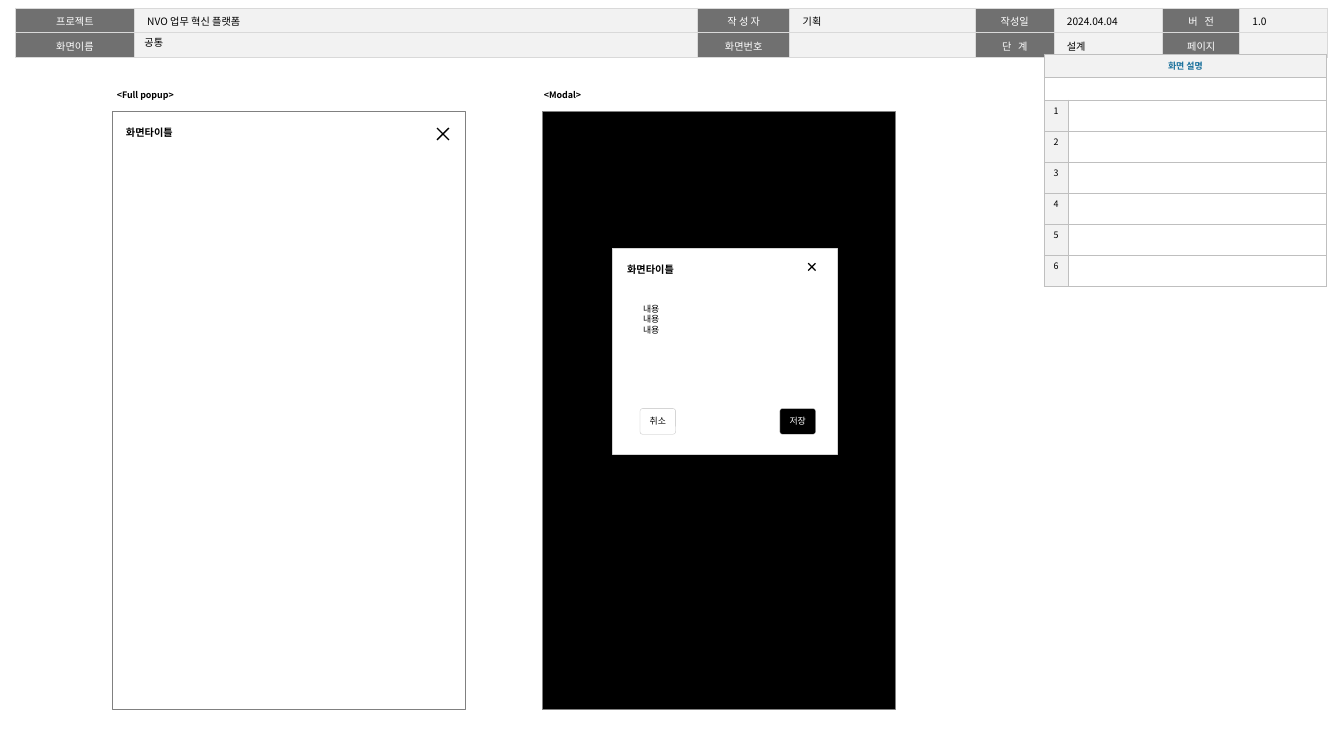
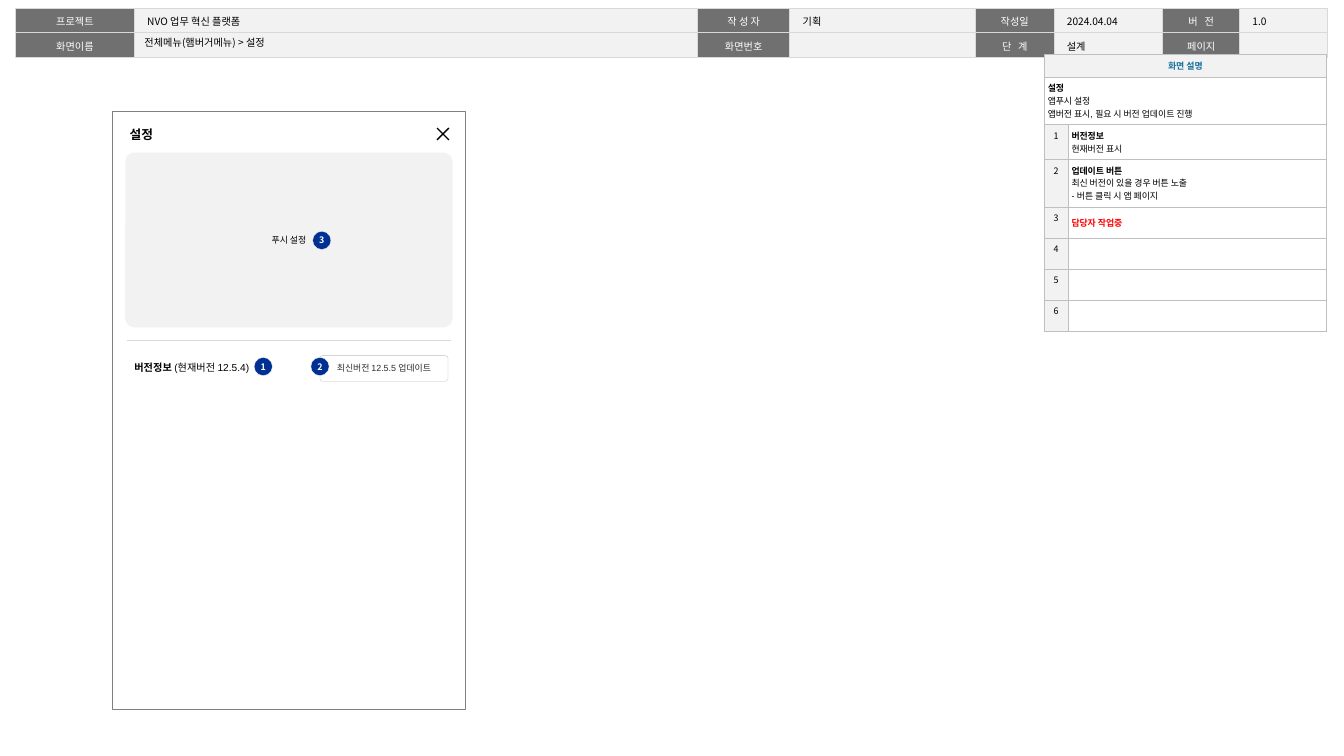
import lxml.etree
import pptx
import pptx.dml.color
import pptx.enum.shapes
import pptx.enum.text
import pptx.oxml.ns
import pptx.util

Inches = pptx.util.Inches
Pt = pptx.util.Pt
qn = pptx.oxml.ns.qn
SHAPES = pptx.enum.shapes.MSO_SHAPE
ALIGN = pptx.enum.text.PP_ALIGN
ANCHOR = pptx.enum.text.MSO_ANCHOR
AUTO_SIZE = pptx.enum.text.MSO_AUTO_SIZE

KOREAN, LATIN = "Noto Sans CJK KR", "Arial"
BLACK, WHITE, PALE, LABEL = "000000", "FFFFFF", "F2F2F2", "707070"
FRAME, RULE, EDGE, BADGE = "808080", "D9D9D9", "BFBFBF", "003192"
BOLD = {"bold": True}
FRAME_TOP, FRAME_WIDTH, FRAME_HEIGHT = 1.22, 3.86, 6.54

HEADER_WIDTHS = [1.3, 6.16, 1.01, 2.03, 0.86, 1.19, 0.84, 0.96]
HEADER_ROWS = [
    ["프로젝트", "NVO 업무 혁신 플랫폼", "작 성 자", "기획", "작성일", "2024.04.04", "버   전", "1.0"],
    ["화면이름", "", "화면번호", "", "단   계", "설계", "페이지", ""],
]


def color(value):
    return pptx.dml.color.RGBColor.from_string(value)


def plain(text):
    return [[(text, {})]] if text else []


class Screen:
    def __init__(self):
        self.deck = pptx.Presentation()
        self.deck.slide_width = Inches(14.7)
        self.deck.slide_height = Inches(8.27)
        self.shapes = None

    def start(self, name):
        self.shapes = self.deck.slides.add_slide(self.deck.slide_layouts[6]).shapes
        header = self.table(0.17, 0.09, HEADER_WIDTHS, [0.24, 0.24])
        for row, texts in enumerate(HEADER_ROWS):
            for column, text in enumerate(texts):
                is_label = column % 2 == 0
                self.cell(header.cell(row, column), plain(text), LABEL if is_label else PALE,
                          margins=(0.14, 0.05, 0.14, 0.05), edges="LRTB", edge=(RULE, 1),
                          align=ALIGN.CENTER if is_label else ALIGN.LEFT, spacing=1.05,
                          size=8, ink=WHITE if is_label else BLACK)
        self.box(1.23, FRAME_TOP, FRAME_WIDTH, FRAME_HEIGHT, line=(FRAME, 0.5))
        self.cross(4.78, 1.4, 0.13)
        self.text(1.47, 0.38, 3.85, 0.16, plain(name), anchor=ANCHOR.MIDDLE,
                  margins=(0.11, 0.05, 0.11, 0.05), size=8)

    def set_lines(self, frame, lines, align=ALIGN.LEFT, spacing=None, size=7,
                  face=KOREAN, ink=BLACK, bold=False):
        for index, runs in enumerate(lines):
            paragraph = frame.add_paragraph() if index else frame.paragraphs[0]
            for key, value in {"alignment": align, "line_spacing": spacing}.items():
                setattr(paragraph, key, value)
            for text, changes in runs:
                values = {"size": Pt(size), "name": face, "bold": bold, **changes}
                shade = values.pop("ink", ink)
                for number, part in enumerate(text.split("\n")):
                    if number:
                        paragraph.add_line_break()
                    run = paragraph.add_run()
                    run.text = part
                    for key, value in values.items():
                        setattr(run.font, key, value)
                    run.font.color.rgb = color(shade)
                    east = lxml.etree.SubElement(run.font._element, qn("a:ea"))
                    east.set("typeface", KOREAN)
        if not lines:
            end = lxml.etree.SubElement(frame.paragraphs[0]._p, qn("a:endParaRPr"))
            end.set("sz", str(size * 100))

    def margins(self, target, values):
        for side, value in zip(("left", "top", "right", "bottom"), values):
            setattr(target, f"margin_{side}", Inches(value))

    def text(self, left, top, width, height, lines, wrap=True, grow=False,
             anchor=ANCHOR.TOP, margins=(0.1, 0.05, 0.1, 0.05), **style):
        frame = self.shapes.add_textbox(*map(Inches, (left, top, width, height))).text_frame
        values = {"word_wrap": wrap, "vertical_anchor": anchor,
                  "auto_size": AUTO_SIZE.SHAPE_TO_FIT_TEXT if grow else AUTO_SIZE.NONE}
        for key, value in values.items():
            setattr(frame, key, value)
        self.margins(frame, margins)
        self.set_lines(frame, lines, **style)

    def box(self, left, top, width, height, lines=(), kind=SHAPES.RECTANGLE, fill=None,
            line=None, radius=None, anchor=ANCHOR.MIDDLE, margins=(0, 0, 0, 0),
            align=ALIGN.CENTER, **style):
        shape = self.shapes.add_shape(kind, *map(Inches, (left, top, width, height)))
        shape.shadow.inherit = False
        if radius:
            shape.adjustments[0] = radius
        if fill:
            shape.fill.solid()
            shape.fill.fore_color.rgb = color(fill)
        else:
            shape.fill.background()
        if line:
            shape.line.color.rgb = color(line[0])
            shape.line.width = Pt(line[1])
        else:
            shape.line.fill.background()
        if lines:
            shape.text_frame.vertical_anchor = anchor
            shape.text_frame.word_wrap = True
            self.margins(shape.text_frame, margins)
            self.set_lines(shape.text_frame, lines, align=align, **style)

    def button(self, left, top, width, label, fill=WHITE, ink=BLACK):
        self.box(left, top, width, 0.28, plain(label), SHAPES.ROUNDED_RECTANGLE, fill,
                 (EDGE, 0.25), radius=0.1, margins=(0.04, 0, 0.04, 0), face=LATIN, ink=ink)

    def badge(self, left, top, number):
        self.box(left, top, 0.2, 0.2, plain(number), SHAPES.OVAL, BADGE, (WHITE, 0.25),
                 ink=WHITE, bold=True)

    def cross(self, left, top, size):
        strokes = self.shapes.add_group_shape().shapes
        right, bottom = left + size, top + size
        for start, end in ((left, right), (right, left)):
            stroke = strokes.add_connector(pptx.enum.shapes.MSO_CONNECTOR.STRAIGHT,
                                           *map(Inches, (start, top, end, bottom)))
            stroke.line.color.rgb = color(BLACK)
            stroke.line.width = Pt(1)
            lxml.etree.SubElement(stroke._element.spPr, qn("a:effectLst"))

    def table(self, left, top, widths, heights):
        table = self.shapes.add_table(
            len(heights), len(widths),
            *map(Inches, (left, top, sum(widths), sum(heights)))).table
        for key in ("first_row", "horz_banding"):
            setattr(table, key, False)
        for column, width in zip(table.columns, widths):
            column.width = Inches(width)
        for row, height in zip(table.rows, heights):
            row.height = Inches(height)
        return table

    def cell(self, cell, lines, fill=None, margins=(0.04, 0.05, 0.04, 0.05),
             anchor=ANCHOR.TOP, edges="LRTB", edge=(EDGE, 0.25), **style):
        self.margins(cell, margins)
        cell.vertical_anchor = anchor
        if fill:
            cell.fill.solid()
            cell.fill.fore_color.rgb = color(fill)
        else:
            cell.fill.background()
        for index, side in enumerate("LRTB"):
            border = lxml.etree.Element(qn(f"a:ln{side}"), w=str(Pt(edge[1])))
            if side in edges:
                paint = lxml.etree.SubElement(border, qn("a:solidFill"))
                lxml.etree.SubElement(paint, qn("a:srgbClr"), val=edge[0])
            else:
                lxml.etree.SubElement(border, qn("a:noFill"))
            cell._tc.get_or_add_tcPr().insert(index, border)
        self.set_lines(cell.text_frame, lines, **style)

    def description(self, summary=(), notes=()):
        table = self.table(11.42, 0.59, [0.26, 2.83], [0.25] * 2 + [0.34] * 6)
        for row in range(2):
            table.cell(row, 0).merge(table.cell(row, 1))
        self.cell(table.cell(0, 0), plain("화면 설명"), PALE, anchor=ANCHOR.MIDDLE,
                  align=ALIGN.CENTER, ink="176F9B", bold=True)
        self.cell(table.cell(1, 0), summary, WHITE, face=LATIN)
        for row, fill in enumerate((PALE, WHITE)):
            self.cell(table.cell(row, 1), [], fill)
        for number in range(1, 7):
            note = notes[number - 1] if number <= len(notes) else []
            self.cell(table.cell(number + 1, 0), plain(str(number)), PALE, align=ALIGN.CENTER)
            self.cell(table.cell(number + 1, 1), note, WHITE, anchor=ANCHOR.MIDDLE, face=LATIN)


def popup_slide(screen):
    screen.start("공통")
    screen.description()
    screen.text(1.28, 1.33, 0.76, 0.24, plain("화면타이틀"), wrap=False, grow=True,
                size=8, bold=True)
    for left, width, caption in ((1.18, 1.65, "<Full popup>"), (5.85, 2.2, "<Modal>")):
        screen.text(left, 0.93, width, 0.22, plain(caption), grow=True, bold=True)
    screen.box(5.93, FRAME_TOP, FRAME_WIDTH, FRAME_HEIGHT, fill=BLACK, line=(FRAME, 0.5))
    screen.box(6.7, 2.72, 2.46, 2.25, plain("화면타이틀"), fill=WHITE, line=("D5D5D5", 0.25),
               anchor=ANCHOR.TOP, margins=(0.16, 0.16, 0.08, 0.08), align=ALIGN.LEFT,
               size=8, face=LATIN, bold=True)
    screen.button(8.53, 4.47, 0.39, "저장", BLACK, WHITE)
    screen.cross(8.84, 2.88, 0.08)
    screen.button(7, 4.47, 0.39, "취소")
    screen.text(6.91, 3.27, 0.4, 0.45, plain("내용") * 3, wrap=False, grow=True,
                align=ALIGN.RIGHT)


def settings_slide(screen):
    screen.start("전체메뉴(햄버거메뉴) > 설정")
    screen.description(
        summary=[[("설정", BOLD)], [("앱푸시 설정", {})],
                 [("앱버전 표시, 필요 시 버전 업데이트 진행", {})]],
        notes=[
            [[("버전정보", BOLD)], [("현재버전 표시", {})]],
            [[("업데이트 버튼", BOLD)],
             [("최신 버전이 있을 경우 버튼 노출\n- 버튼 클릭 시 앱 페이지", {})]],
            [[("담당자 작업중", {"bold": True, "ink": "FF0000"})]],
        ])
    screen.text(1.32, 1.34, 0.48, 0.27, plain("설정"), wrap=False, grow=True,
                size=10, bold=True)
    screen.box(1.37, 1.67, 3.58, 1.91, plain("푸시 설정"), SHAPES.ROUNDED_RECTANGLE, PALE,
               radius=0.05, margins=(0, 0.05, 0, 0.05))
    version = screen.table(1.39, 3.72, [3.54], [0.58])
    screen.cell(version.cell(0, 0), [[("버전정보 ", BOLD), ("(현재버전 12.5.4)", {})]],
                margins=(0.08, 0.04, 0, 0.04), anchor=ANCHOR.MIDDLE, edges="T",
                edge=(RULE, 0.25), size=8, face=LATIN)
    screen.button(3.5, 3.89, 1.4, "최신버전 12.5.5 업데이트", ink="2E2E2E")
    for left, top, number in ((2.78, 3.91, "1"), (3.4, 3.91, "2"), (3.42, 2.53, "3")):
        screen.badge(left, top, number)


def main():
    screen = Screen()
    popup_slide(screen)
    settings_slide(screen)
    screen.deck.save("out.pptx")


if __name__ == "__main__":
    main()
